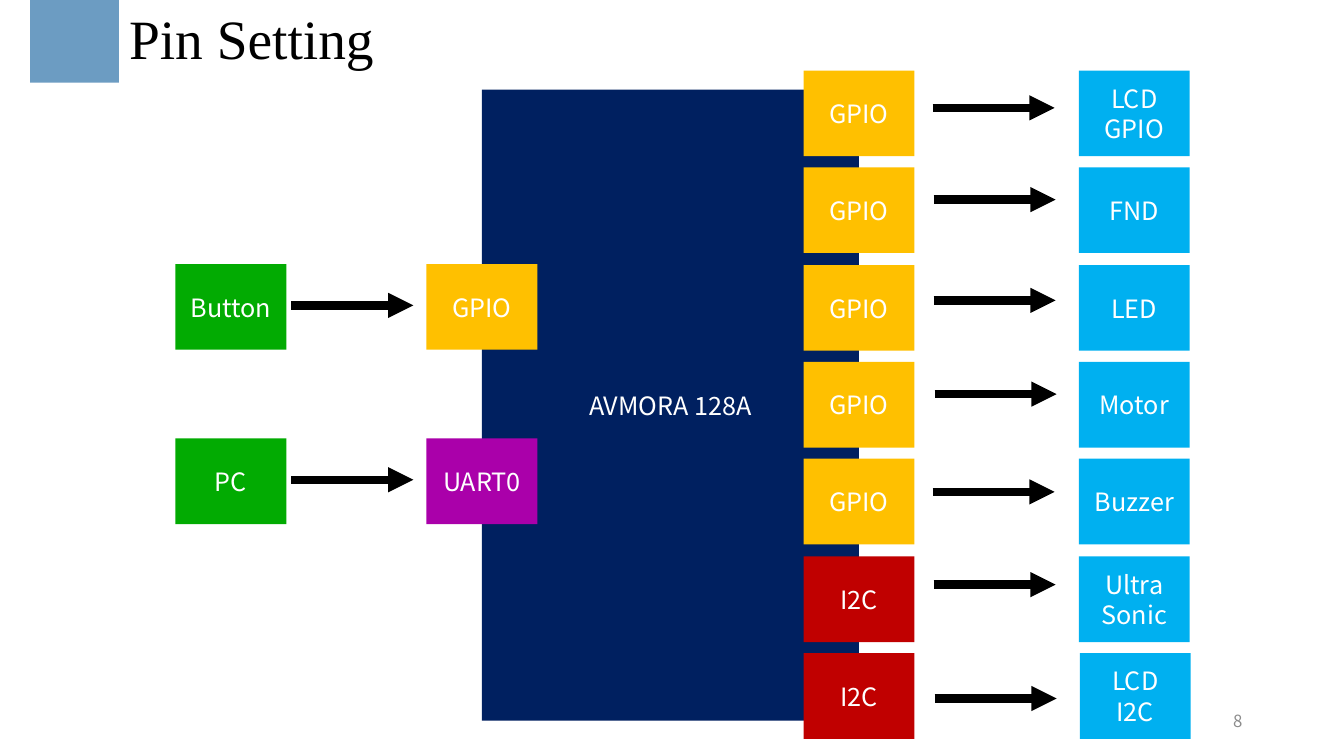
from dataclasses import dataclass

from lxml.etree import SubElement
from pptx import Presentation
from pptx.dml.color import RGBColor
from pptx.enum.shapes import MSO_CONNECTOR, MSO_SHAPE
from pptx.enum.text import MSO_ANCHOR, PP_ALIGN
from pptx.oxml.ns import qn
from pptx.util import Emu, Pt


@dataclass(frozen=True)
class Theme:
    mark: str = "6C9CC2"
    chip: str = "002060"
    input: str = "02AB02"
    gpio: str = "FFC000"
    uart: str = "AA00AA"
    i2c: str = "C00000"
    output: str = "00B0F0"
    ink: str = "000000"
    white: str = "FFFFFF"
    gray: str = "8C8C8C"
    head: str = "Times New Roman"
    body: str = "Noto Sans CJK KR"
    big: float = 39.6
    mid: float = 18
    small: float = 12
    line: float = 6


T = Theme()
WIDE, HIGH = 110, 85  # size of every pin and device
REACH = 121  # arrow length


def px(n):
    """100 px to the inch."""
    return Emu(n * 9144)


def write(shape, text, size, color, align, face=T.body):
    frame = shape.text_frame
    frame.word_wrap = True
    frame.vertical_anchor = MSO_ANCHOR.MIDDLE
    frame.text = text
    for para in frame.paragraphs:
        para.alignment = align
        para.font.name = face
        para.font.size = Pt(size)
        para.font.color.rgb = RGBColor.from_string(color)


def block(slide, x, y, w, h, fill, text=""):
    shape = slide.shapes.add_shape(MSO_SHAPE.RECTANGLE, px(x), px(y), px(w), px(h))
    shape.shadow.inherit = False
    shape.fill.solid()
    shape.fill.fore_color.rgb = RGBColor.from_string(fill)
    shape.line.fill.background()
    if text:
        write(shape, text, T.mid, T.white, PP_ALIGN.CENTER)


def arrow(slide, x, y):
    link = slide.shapes.add_connector(
        MSO_CONNECTOR.STRAIGHT, px(x), px(y), px(x + REACH), px(y))
    link.line.color.rgb = RGBColor.from_string(T.ink)
    link.line.width = Pt(T.line)
    SubElement(link.line._get_or_add_ln(), qn("a:tailEnd"), type="triangle")
    SubElement(link._element.spPr, qn("a:effectLst"))


def header(slide, x, y, w):
    # Colour mark, then the title beside it
    block(slide, x, y, 88, 82, T.mark)
    title = slide.shapes.title
    title.left, title.top = px(x + 88), px(y + 4)
    title.width, title.height = px(w - 88), px(74)
    write(title, "Pin Setting", T.big, T.ink, PP_ALIGN.LEFT, T.head)
    title.text_frame.paragraphs[0].line_spacing = 0.9


def inputs(slide, x, y):
    # Devices feeding the chip from the left
    rows = [("Button", "GPIO", T.gpio), ("PC", "UART0", T.uart)]
    for i, (name, pin, fill) in enumerate(rows):
        top = y + 173 * i
        block(slide, x, top, WIDE, HIGH, T.input, name)
        arrow(slide, x + 115, top + 41)
        block(slide, x + 249, top, WIDE, HIGH, fill, pin)


def outputs(slide, x, y, h):
    # Pins on the right edge: pin, device, arrow shift, arrow drop, device shift
    rows = [
        ("GPIO", "LCD\nGPIO", 0, 37, 0),
        ("GPIO", "FND", 1, 32, 0),
        ("GPIO", "LED", 1, 35, 0),
        ("GPIO", "Motor", 2, 32, 0),
        ("GPIO", "Buzzer", 0, 33, 0),
        ("I2C", "Ultra\nSonic", 1, 28, 0),
        ("I2C", "LCD\nI2C", 2, 45, 1),
    ]
    fills = {"GPIO": T.gpio, "I2C": T.i2c}
    step = (h - HIGH) / (len(rows) - 1)
    for i, (pin, name, shift, drop, nudge) in enumerate(rows):
        top = y + round(step * i)
        block(slide, x, top, WIDE, HIGH, fills[pin], pin)
        arrow(slide, x + 128 + shift, top + drop)
        block(slide, x + 273 + nudge, top, WIDE, HIGH, T.output, name)


def footer(slide, x, y, w, h):
    # Page number
    box = slide.shapes.add_textbox(px(x), px(y), px(w), px(h))
    write(box, "8", T.small, T.gray, PP_ALIGN.RIGHT)


def main():
    deck = Presentation()
    deck.slide_width, deck.slide_height = px(1333), px(750)
    slide = deck.slides.add_slide(deck.slide_layouts[5])
    header(slide, 30, 0, 1238)
    block(slide, 478, 89, 374, 626, T.chip, "AVMORA 128A")
    inputs(slide, 174, 262)
    outputs(slide, 797, 70, 663)
    footer(slide, 942, 695, 300, 40)
    deck.save("out.pptx")


if __name__ == "__main__":
    main()
